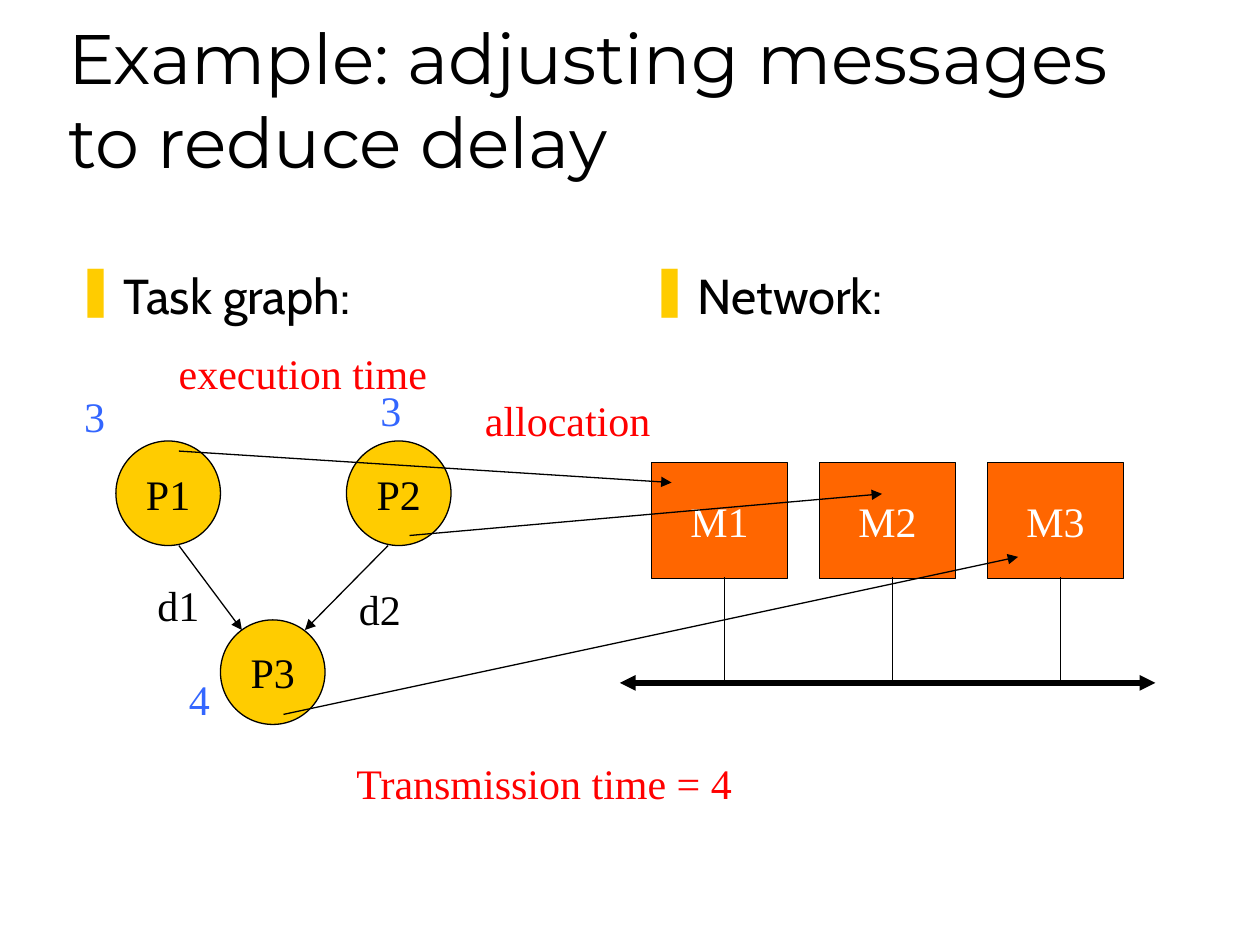
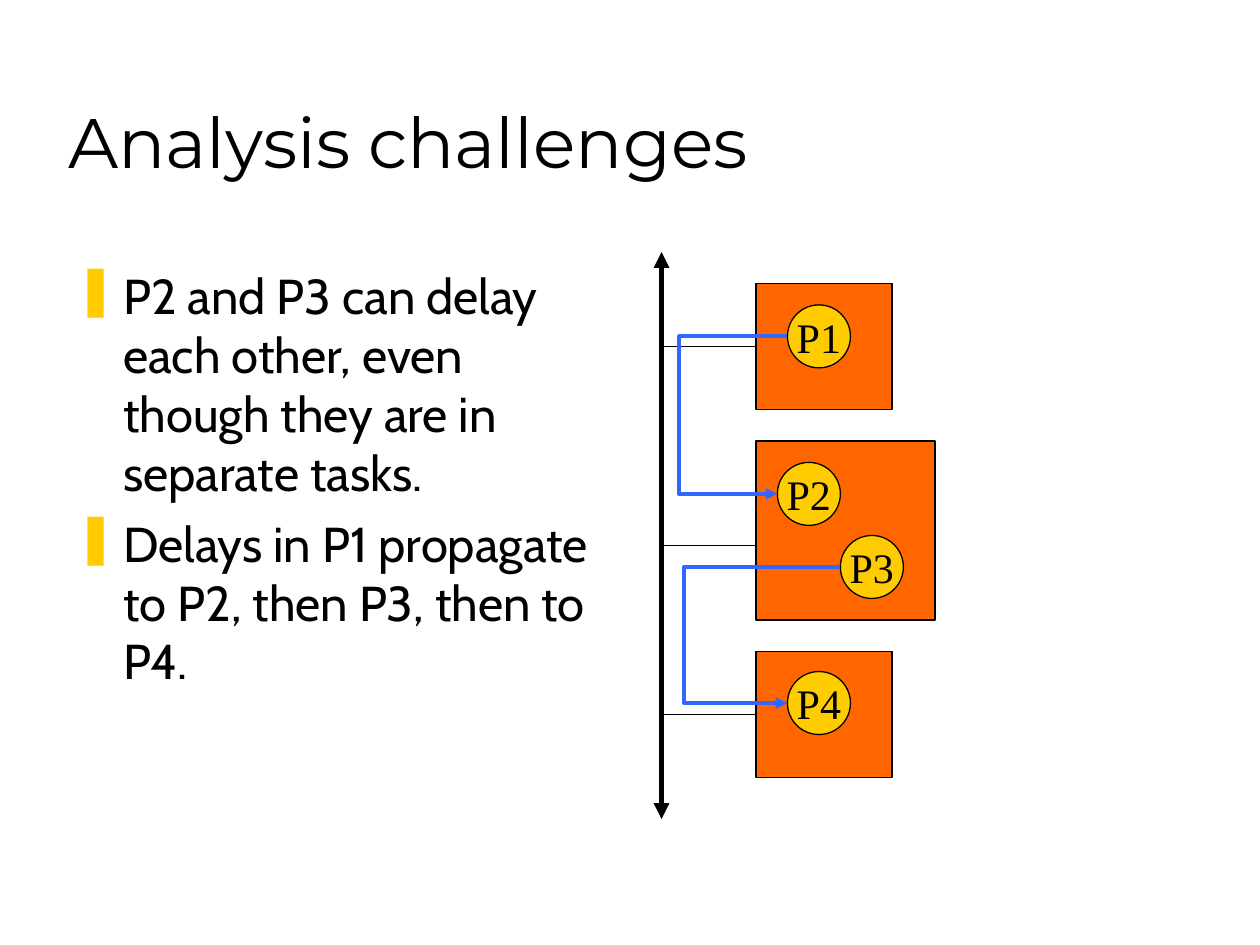
from lxml import etree
from pptx import Presentation
from pptx.dml.color import RGBColor
from pptx.enum import shapes, text
from pptx.oxml import ns
from pptx.util import Inches, Pt

BLACK = RGBColor(0x00, 0x00, 0x00)
WHITE = RGBColor(0xFF, 0xFF, 0xFF)
YELLOW = RGBColor(0xFF, 0xCC, 0x00)
ORANGE = RGBColor(0xFF, 0x66, 0x00)
BLUE = RGBColor(0x33, 0x66, 0xFF)
RED = RGBColor(0xFF, 0x00, 0x00)

TITLE_FONT = {"name": "Montserrat", "size": Pt(40)}
BODY_FONT = {"name": "Cabin", "size": Pt(28)}
LABEL_FONT = {"name": "Times New Roman", "size": Pt(24)}

OVAL = shapes.MSO_SHAPE.OVAL
RECTANGLE = shapes.MSO_SHAPE.RECTANGLE


def set_attributes(target, values):
    for name, value in values.items():
        setattr(target, name, value)


def add_element(parent, tag, **attributes):
    return etree.SubElement(parent, ns.qn(tag), attributes)


class SlideBuilder:
    """Draws the deck's elements on the current slide; lengths are in inches."""

    def __init__(self, presentation):
        self.presentation = presentation
        self.slide = None

    def new_slide(self, title):
        layout = self.presentation.slide_layouts[5]
        self.slide = self.presentation.slides.add_slide(layout)
        shape = self.slide.shapes.title
        self.place(shape, 0.44, 0.25, 8.5, 1.25)
        frame = shape.text_frame
        set_attributes(frame, {
            "text": title,
            "word_wrap": True,
            "auto_size": text.MSO_AUTO_SIZE.NONE,
            "vertical_anchor": text.MSO_ANCHOR.BOTTOM,
        })
        frame.paragraphs[0].alignment = text.PP_ALIGN.LEFT
        self.format_font(frame.paragraphs[0], TITLE_FONT)

    def place(self, shape, left, top, width, height):
        set_attributes(shape, {
            "left": Inches(left), "top": Inches(top),
            "width": Inches(width), "height": Inches(height),
        })

    def format_font(self, paragraph, values, color=BLACK):
        set_attributes(paragraph.font, values)
        paragraph.font.color.rgb = color

    def bullets(self, left, height, items):
        box = self.slide.shapes.add_textbox(
            Inches(left), Inches(2.06), Inches(4.39), Inches(height))
        frame = box.text_frame
        frame.word_wrap = True
        for index, item in enumerate(items):
            paragraph = frame.add_paragraph() if index else frame.paragraphs[0]
            paragraph.text = item
            paragraph.space_before = Pt(7 if index else 0)
            properties = paragraph._p.get_or_add_pPr()
            properties.set("marL", str(Inches(0.38)))
            properties.set("indent", str(Inches(-0.38)))
            bullet_color = add_element(properties, "a:buClr")
            add_element(bullet_color, "a:srgbClr", val=str(YELLOW))
            add_element(properties, "a:buChar", char="❚")
            self.format_font(paragraph, BODY_FONT)

    def label(self, left, top, width, content, color=BLACK):
        box = self.slide.shapes.add_textbox(
            Inches(left), Inches(top), Inches(width), Inches(0.5))
        frame = box.text_frame
        set_attributes(frame, {
            "text": content,
            "word_wrap": False,
            "auto_size": text.MSO_AUTO_SIZE.SHAPE_TO_FIT_TEXT,
        })
        self.format_font(frame.paragraphs[0], LABEL_FONT, color)

    def node(self, kind, left, top, width, height, fill, name="", color=BLACK):
        shape = self.slide.shapes.add_shape(
            kind, Inches(left), Inches(top), Inches(width), Inches(height))
        shape.shadow.inherit = False
        shape.fill.solid()
        shape.fill.fore_color.rgb = fill
        shape.line.color.rgb = BLACK
        shape.line.width = Pt(0.75)
        if name:
            frame = shape.text_frame
            set_attributes(frame, {
                "text": name,
                "word_wrap": False,
                "vertical_anchor": text.MSO_ANCHOR.MIDDLE,
            })
            frame.paragraphs[0].alignment = text.PP_ALIGN.CENTER
            self.format_font(frame.paragraphs[0], LABEL_FONT, color)

    def process(self, name, left, top, size):
        self.node(OVAL, left, top, size, size, YELLOW, name)

    def line(self, start, end, width=0.75, color=BLACK, arrows=(),
             kind=shapes.MSO_CONNECTOR.STRAIGHT):
        """Connect two points; arrows lists "a:headEnd" and/or "a:tailEnd"."""
        connector = self.slide.shapes.add_connector(
            kind, *(Inches(value) for value in (*start, *end)))
        connector.line.color.rgb = color
        connector.line.width = Pt(width)
        outline = connector.line._get_or_add_ln()
        for arrow in arrows:
            add_element(outline, arrow, type="triangle")
        add_element(connector._element.spPr, "a:effectLst")
        return connector

    def arrow(self, start, end):
        self.line(start, end, arrows=["a:tailEnd"])

    def bus(self, start, end):
        self.line(start, end, width=3, arrows=["a:headEnd", "a:tailEnd"])

    def bent_arrow(self, start, end, bend_x):
        """Draw an elbow whose vertical part runs at bend_x."""
        connector = self.line(start, end, 2.25, BLUE, ["a:tailEnd"],
                              shapes.MSO_CONNECTOR.ELBOW)
        ratio = (start[0] - bend_x) / (start[0] - end[0])
        guides = connector._element.spPr.find(
            f"{ns.qn('a:prstGeom')}/{ns.qn('a:avLst')}")
        add_element(guides, "a:gd", name="adj1",
                    fmla=f"val {round(ratio * 100000)}")


def build_message_slide(builder):
    builder.new_slide("Example: adjusting messages to reduce delay")
    builder.bullets(0.5, 0.6, ["Task graph:"])
    builder.bullets(5.06, 0.6, ["Network:"])

    for name, left, top in [("P1", 0.92, 3.5), ("P2", 2.75, 3.5),
                            ("P3", 1.75, 4.92)]:
        builder.process(name, left, top, 0.83)
    builder.arrow((1.42, 4.33), (1.92, 5))
    builder.arrow((3.08, 4.33), (2.42, 5))
    builder.label(1.15, 4.55, 0.53, "d1")
    builder.label(2.75, 4.58, 0.53, "d2")

    builder.bus((4.92, 5.42), (9.17, 5.42))
    for index in range(3):
        offset = index * 4 / 3
        builder.node(RECTANGLE, 5.17 + offset, 3.67, 1.08, 0.92, ORANGE,
                     f"M{index + 1}", WHITE)
        builder.line((5.75 + offset, 4.58), (5.75 + offset, 5.42))

    for process_point, machine_point in [((1.42, 3.58), (5.33, 3.83)),
                                         ((3.25, 4.25), (7, 3.92)),
                                         ((2.25, 5.67), (8.08, 4.42))]:
        builder.arrow(process_point, machine_point)
    builder.label(3.75, 3.08, 1.55, "allocation", RED)

    for left, top, execution_time in [(0.57, 3.05, "3"), (1.4, 5.3, "4"),
                                      (2.92, 3, "3")]:
        builder.label(left, top, 0.36, execution_time, BLUE)
    builder.label(1.32, 2.71, 2.2, "execution time", RED)
    builder.label(2.73, 5.96, 3.22, "Transmission time = 4", RED)


def build_analysis_slide(builder):
    builder.new_slide("Analysis challenges")
    builder.bullets(0.5, 4.56, [
        "P2 and P3 can delay each other, even though they are in "
        "separate tasks.",
        "Delays in P1 propagate to P2, then P3, then to P4.",
    ])

    builder.bus((5.25, 2), (5.25, 6.5))
    for top, width, height, link_y in [(2.25, 1.08, 1, 2.75),
                                       (3.5, 1.42, 1.42, 4.33),
                                       (5.17, 1.08, 1, 5.67)]:
        builder.node(RECTANGLE, 6, top, width, height, ORANGE)
        builder.line((6, link_y), (5.25, link_y))
    for name, left, top in [("P1", 6.25, 2.42), ("P2", 6.17, 3.67),
                            ("P3", 6.67, 4.25), ("P4", 6.25, 5.33)]:
        builder.process(name, left, top, 0.5)
    builder.bent_arrow((6.25, 2.67), (6.17, 3.92), 5.39)
    builder.bent_arrow((6.67, 4.5), (6.25, 5.58), 5.43)


def main():
    presentation = Presentation()
    presentation.slide_width = Inches(10)
    presentation.slide_height = Inches(7.5)
    builder = SlideBuilder(presentation)
    build_message_slide(builder)
    build_analysis_slide(builder)
    presentation.save("out.pptx")


if __name__ == "__main__":
    main()
